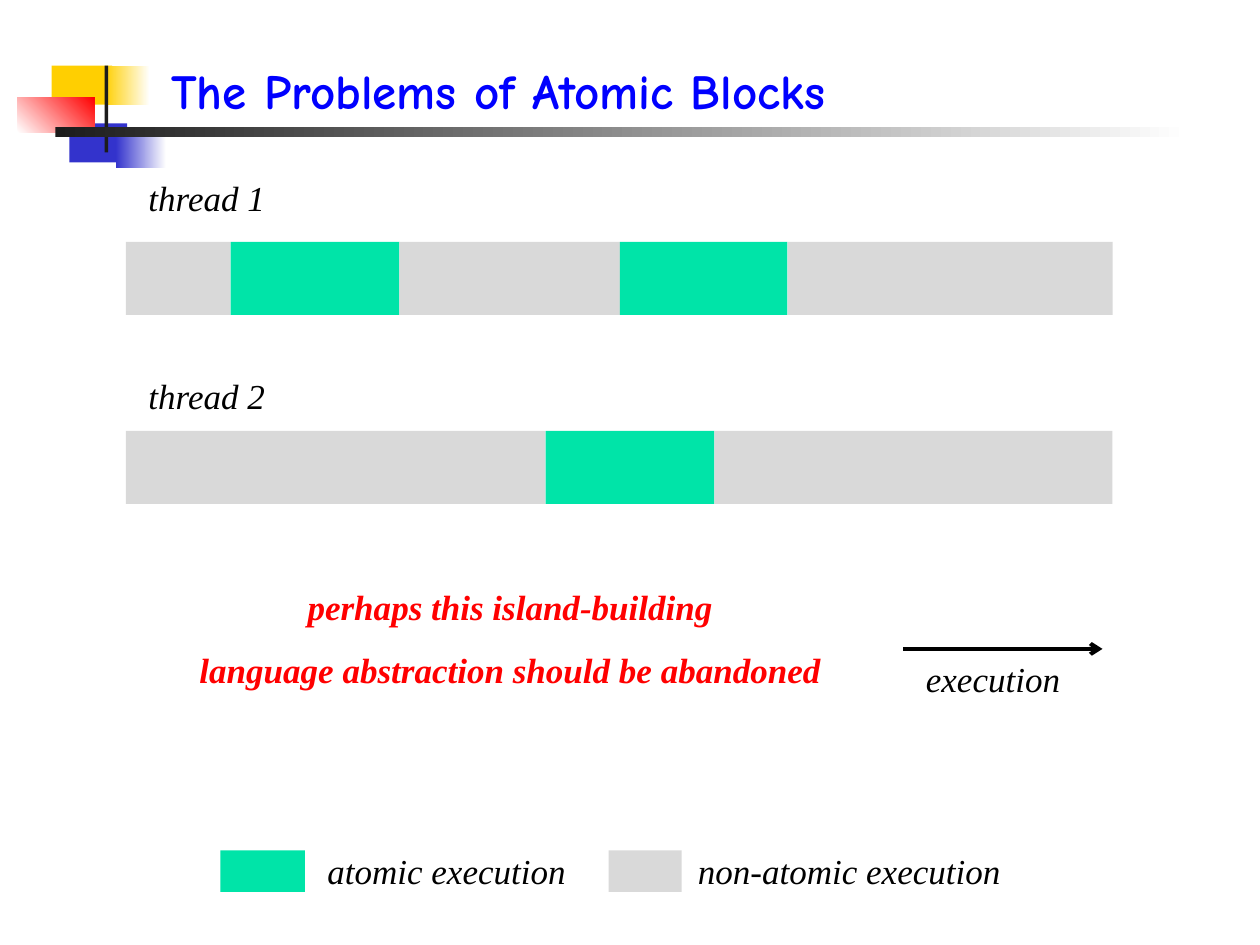
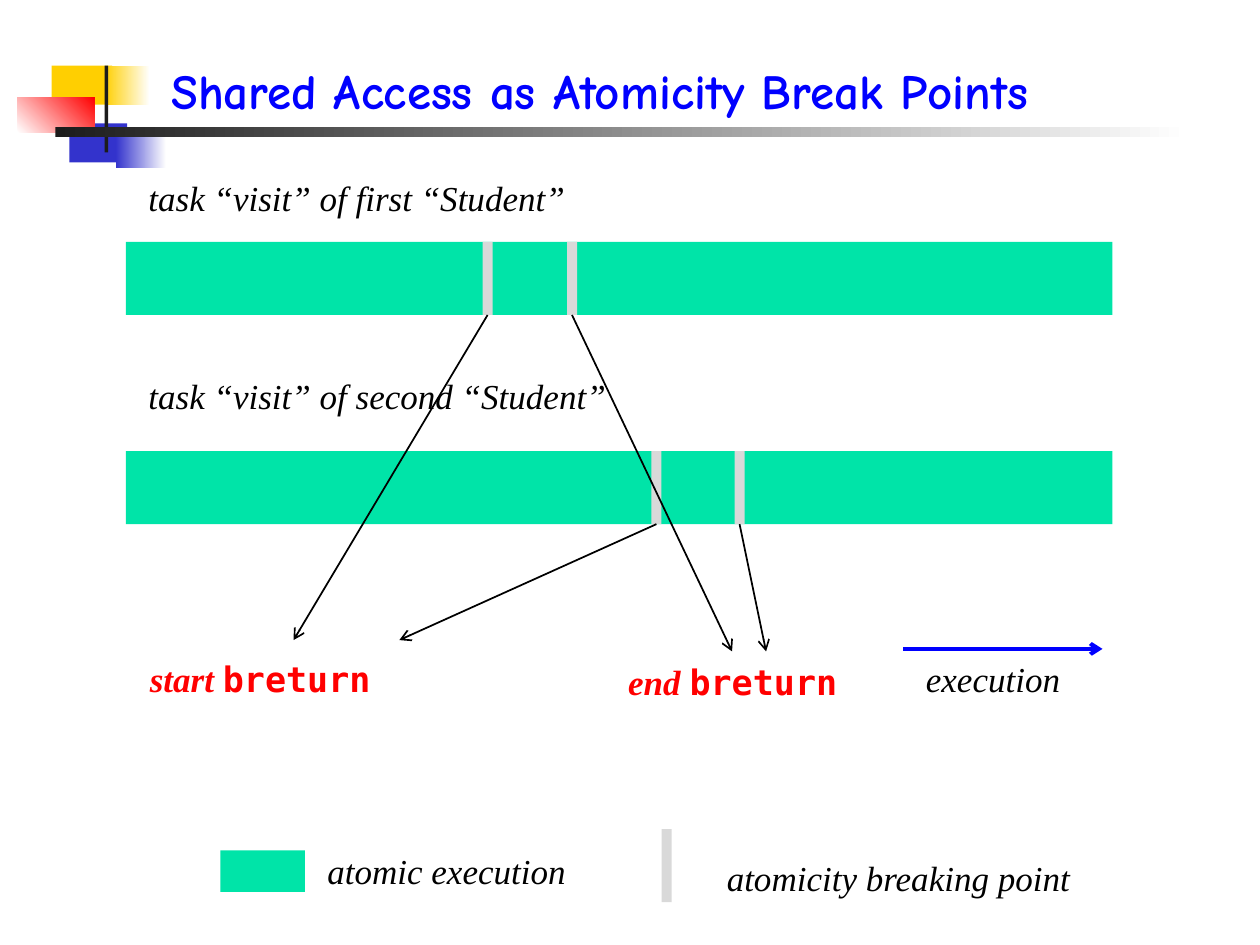
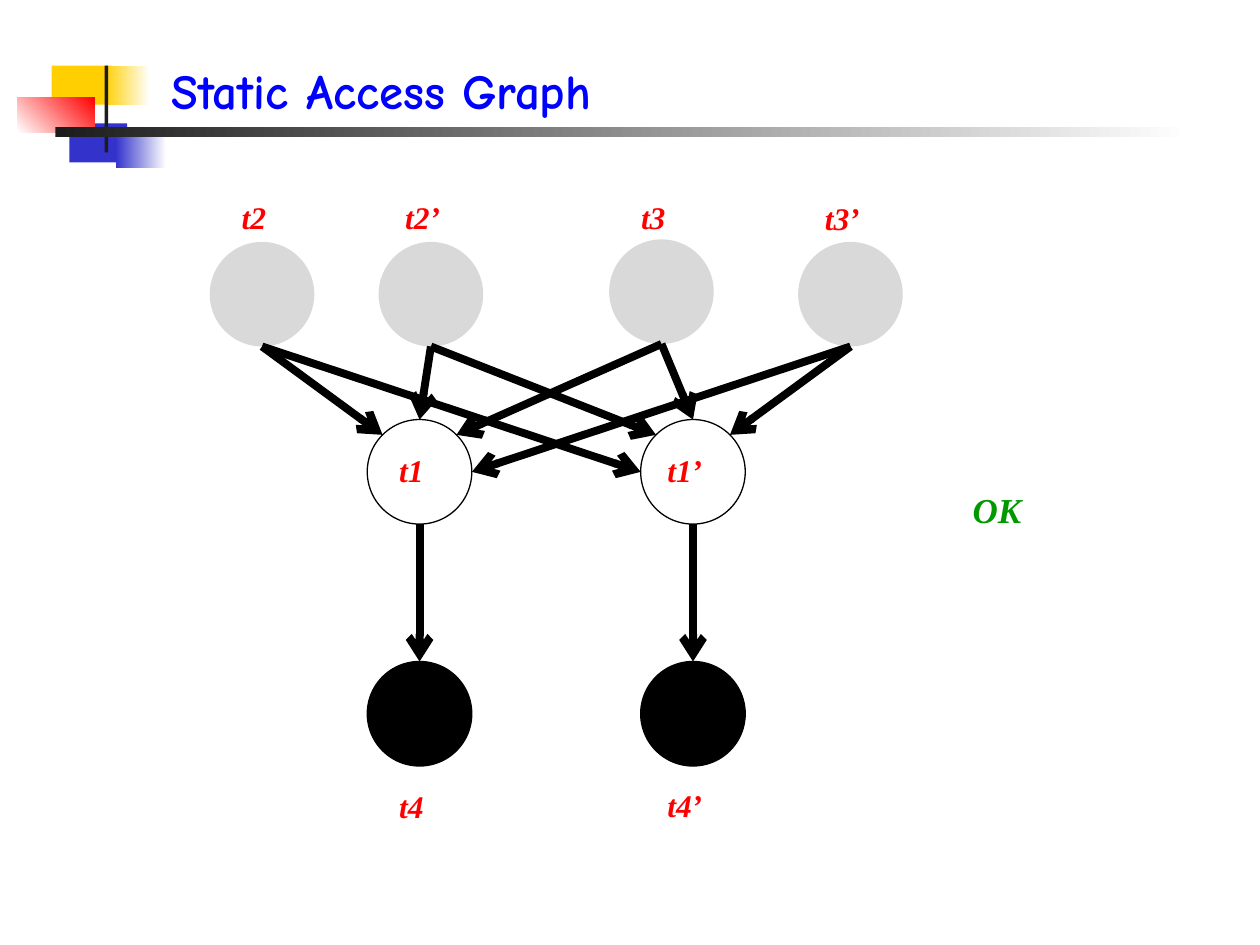
from itertools import cycle, pairwise
from math import cos, radians, sin

from lxml import etree
from pptx import Presentation
from pptx.dml.color import RGBColor
from pptx.enum.shapes import MSO_CONNECTOR as Connector, MSO_SHAPE as Preset
from pptx.enum.text import MSO_ANCHOR as Anchor, PP_ALIGN as Align
from pptx.oxml.ns import qn
from pptx.util import Inches, Pt

# Palette and fonts
BLUE = RGBColor(0x00, 0x00, 0xFF)
RED = RGBColor(0xFF, 0x00, 0x00)
BLACK = RGBColor(0x00, 0x00, 0x00)
WHITE = RGBColor(0xFF, 0xFF, 0xFF)
MINT = RGBColor(0x00, 0xE4, 0xA8)
GREY = RGBColor(0xD9, 0xD9, 0xD9)
GREEN = RGBColor(0x00, 0x99, 0x00)
YELLOW = RGBColor(0xFF, 0xCF, 0x01)
INDIGO = RGBColor(0x33, 0x33, 0xCC)
CHARCOAL = RGBColor(0x1C, 0x1C, 0x1C)
TITLE_FONT = "Comic Neue"
BODY_FONT = "Times New Roman"
CODE_FONT = "DejaVu Sans Mono"

# Timeline measures
BAR_LEFT, BAR_WIDTH, BAR_HEIGHT = 1, 7.83, 0.58
BREAK_WIDTH = 0.08
NODE_SIZE = 0.83


def add_block(slide, left, top, width, height, fill, preset=Preset.RECTANGLE,
              outline=None, fade_to=None, angle=0):
    block = slide.shapes.add_shape(
        preset, Inches(left), Inches(top), Inches(width), Inches(height))
    block.shadow.inherit = False
    if fade_to is None:
        block.fill.solid()
        block.fill.fore_color.rgb = fill
    else:
        block.fill.gradient()
        block.fill.gradient_angle = angle
        for stop, color in zip(block.fill.gradient_stops, (fill, fade_to)):
            stop.color.rgb = color
    if outline is None:
        block.line.fill.background()
    else:
        block.line.color.rgb = outline
        block.line.width = Pt(0.75)
    return block


def add_arrow(slide, start, end, color=BLACK, width=1):
    arrow = slide.shapes.add_connector(
        Connector.STRAIGHT, *(Inches(value) for value in (*start, *end)))
    arrow.line.color.rgb = color
    arrow.line.width = Pt(width)
    line_xml = arrow.line._get_or_add_ln()
    etree.SubElement(line_xml, qn("a:tailEnd"), type="arrow")
    etree.SubElement(arrow.element.spPr, qn("a:effectLst"))


def add_label(slide, left, top, width, text, color=BLACK, size=20, bold=False,
              align=Align.LEFT, code=None, height=0.44):
    """Italic label; code is an upright monospaced word after the text."""
    label = slide.shapes.add_textbox(
        Inches(left), Inches(top), Inches(width), Inches(height))
    frame = label.text_frame
    frame.margin_top = Inches(0.07)
    frame.text = text
    if code:
        frame.paragraphs[0].add_run().text = code
    for index, paragraph in enumerate(frame.paragraphs):
        paragraph.alignment = align
        paragraph.space_before = Pt(11.5 if index else 0)
        for run in paragraph.runs:
            is_code = run.text == code
            run.font.name = CODE_FONT if is_code else BODY_FONT
            run.font.size = Pt(size)
            run.font.bold = bold
            run.font.italic = not is_code
            run.font.color.rgb = color


def add_titled_slide(deck, title):
    slide = deck.slides.add_slide(deck.slide_layouts[5])
    heading = slide.shapes.title
    heading.left, heading.top = Inches(1.26), Inches(0.25)
    heading.width, heading.height = Inches(8.52), Inches(0.75)
    frame = heading.text_frame
    frame.text = title
    frame.vertical_anchor = Anchor.BOTTOM
    frame.paragraphs[0].alignment = Align.LEFT
    font = frame.paragraphs[0].runs[0].font
    font.name, font.size, font.bold = TITLE_FONT, Pt(28), True
    font.color.rgb = BLUE
    return slide


def move_ornament_to_layout(slide):
    """Draw the title ornament and hand it to the layout all slides share."""
    layout = slide.slide_layout
    for placeholder in list(layout.placeholders)[1:]:
        placeholder.element.getparent().remove(placeholder.element)
    ornament = (
        add_block(slide, 0.41, 0.52, 0.48, 0.31, YELLOW),
        add_block(slide, 0.83, 0.52, 0.36, 0.31, YELLOW, fade_to=WHITE),
        add_block(slide, 0.55, 0.98, 0.46, 0.31, INDIGO),
        add_block(slide, 0.92, 1.02, 0.4, 0.31, INDIGO, fade_to=WHITE),
        add_block(slide, 0.14, 0.77, 0.61, 0.28, WHITE, fade_to=RED, angle=45),
        add_block(slide, 0.83, 0.52, 0.03, 0.69, CHARCOAL),
        add_block(slide, 0.44, 1.01, 9, 0.08, CHARCOAL, fade_to=WHITE),
    )
    for part in ornament:
        layout.shapes.element.append(part.element)


# Timeline regions
def add_thread(slide, top, edges, colors):
    """Bar cut at the given edges, its colours taken in turn."""
    for (start, end), color in zip(pairwise(edges), cycle(colors)):
        add_block(slide, BAR_LEFT + start, top, end - start, BAR_HEIGHT, color)


def add_task(slide, top, breaks):
    """Atomic bar with break points; returns where their arrows start."""
    add_block(slide, BAR_LEFT, top, BAR_WIDTH, BAR_HEIGHT, MINT)
    for offset in breaks:
        add_block(slide, BAR_LEFT + offset, top, BREAK_WIDTH, BAR_HEIGHT, GREY)
    return [(BAR_LEFT + offset + BREAK_WIDTH / 2, top + BAR_HEIGHT)
            for offset in breaks]


def add_execution_axis(slide, left, top, color):
    add_arrow(slide, (left, top), (left + 1.58, top), color, 2.25)
    add_label(slide, left + 0.08, top, 1.42, "execution")


def add_atomic_key(slide, left, top):
    add_block(slide, left, top, 0.67, 0.33, MINT)
    add_label(slide, left + 0.75, top - 0.08, 2.27, "atomic execution")


def build_problems(slide):
    add_thread(slide, 1.92, (0, 0.83, 2.17, 3.92, 5.25, BAR_WIDTH), (GREY, MINT))
    add_thread(slide, 3.42, (0, 3.33, 4.67, BAR_WIDTH), (GREY, MINT))
    add_label(slide, 1.08, 1.33, 1.25, "thread 1")
    add_label(slide, 1.08, 2.9, 1.25, "thread 2")
    add_label(slide, 1.38, 4.58, 5.34,
              "perhaps this island-building\n"
              "language abstraction should be abandoned",
              RED, bold=True, align=Align.CENTER, height=0.94)
    add_execution_axis(slide, 7.17, 5.15, BLACK)
    add_atomic_key(slide, 1.75, 6.75)
    add_block(slide, 4.83, 6.75, 0.58, 0.33, GREY)
    add_label(slide, 5.44, 6.67, 2.81, "non-atomic execution")


def build_break_points(slide):
    first_start, first_end = add_task(slide, 1.92, (2.83, 3.5))
    second_start, second_end = add_task(slide, 3.58, (4.17, 4.83))
    add_label(slide, 1.08, 1.33, 3.68, "task “visit” of first “Student”")
    add_label(slide, 1.08, 2.9, 3.92, "task “visit” of second “Student”")
    for start, end in ((first_start, (2.33, 5.08)), (first_end, (5.81, 5.17)),
                       (second_start, (3.17, 5.08)), (second_end, (6.08, 5.17))):
        add_arrow(slide, start, end)
    add_label(slide, 1.09, 5.15, 1.99, "start ", RED, bold=True, code="breturn")
    add_label(slide, 4.87, 5.17, 1.89, "end ", RED, bold=True,
              align=Align.CENTER, code="breturn")
    add_execution_axis(slide, 7.17, 5.15, BLUE)
    add_atomic_key(slide, 1.75, 6.75)
    add_block(slide, 5.25, 6.58, BREAK_WIDTH, BAR_HEIGHT, GREY)
    add_label(slide, 5.67, 6.73, 3.04, "atomicity breaking point")


def build_access_graph(slide):
    # Name: centre x, circle top, label top, fill, outline
    nodes = {
        "t2": (2.08, 1.92, 1.5, GREY, None),
        "t2’": (3.42, 1.92, 1.5, GREY, None),
        "t3": (5.25, 1.9, 1.5, GREY, None),
        "t3’": (6.75, 1.92, 1.51, GREY, None),
        "t1": (3.33, 3.33, 3.51, WHITE, BLACK),
        "t1’": (5.5, 3.33, 3.51, WHITE, BLACK),
        "t4": (3.33, 5.25, 6.18, BLACK, BLACK),
        "t4’": (5.5, 5.25, 6.17, BLACK, BLACK),
    }
    # From the bottom of one circle to an angle on the other, 90 being the top
    edges = (
        ("t2", "t1", 135), ("t2", "t1’", 180),
        ("t2’", "t1", 90), ("t2’", "t1’", 135),
        ("t3", "t1", 45), ("t3", "t1’", 90),
        ("t3’", "t1", 0), ("t3’", "t1’", 45),
        ("t1", "t4", 90), ("t1’", "t4’", 90),
    )

    def rim_point(name, angle):
        center_x, top = nodes[name][:2]
        radius = NODE_SIZE / 2
        return (center_x + radius * cos(radians(angle)),
                top + radius - radius * sin(radians(angle)))

    for center_x, top, _, fill, outline in nodes.values():
        add_block(slide, center_x - NODE_SIZE / 2, top, NODE_SIZE, NODE_SIZE,
                  fill, Preset.OVAL, outline)
    for source, target, angle in edges:
        add_arrow(slide, rim_point(source, 270), rim_point(target, angle), width=4.5)
    for name, (center_x, _, label_top, _, _) in nodes.items():
        add_label(slide, center_x - 1.48, label_top, 2.83, name, RED, 18, True,
                  Align.CENTER, height=0.4)
    add_label(slide, 7.62, 3.81, 0.69, "OK", GREEN, bold=True)


def main():
    deck = Presentation()
    deck.slide_width, deck.slide_height = Inches(10), Inches(7.5)
    problems = add_titled_slide(deck, "The Problems of Atomic Blocks")
    move_ornament_to_layout(problems)
    build_problems(problems)
    build_break_points(
        add_titled_slide(deck, "Shared Access as Atomicity Break Points"))
    build_access_graph(add_titled_slide(deck, "Static Access Graph"))
    deck.save("out.pptx")


if __name__ == "__main__":
    main()
